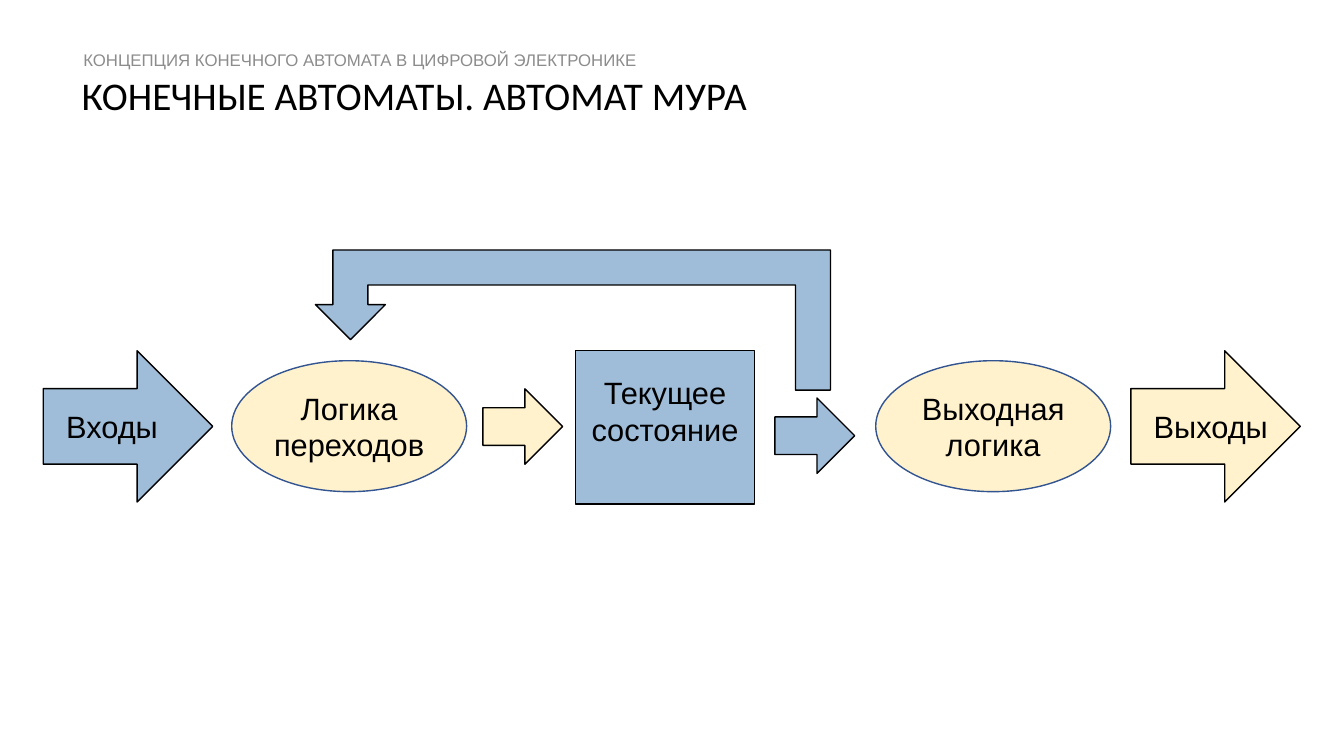
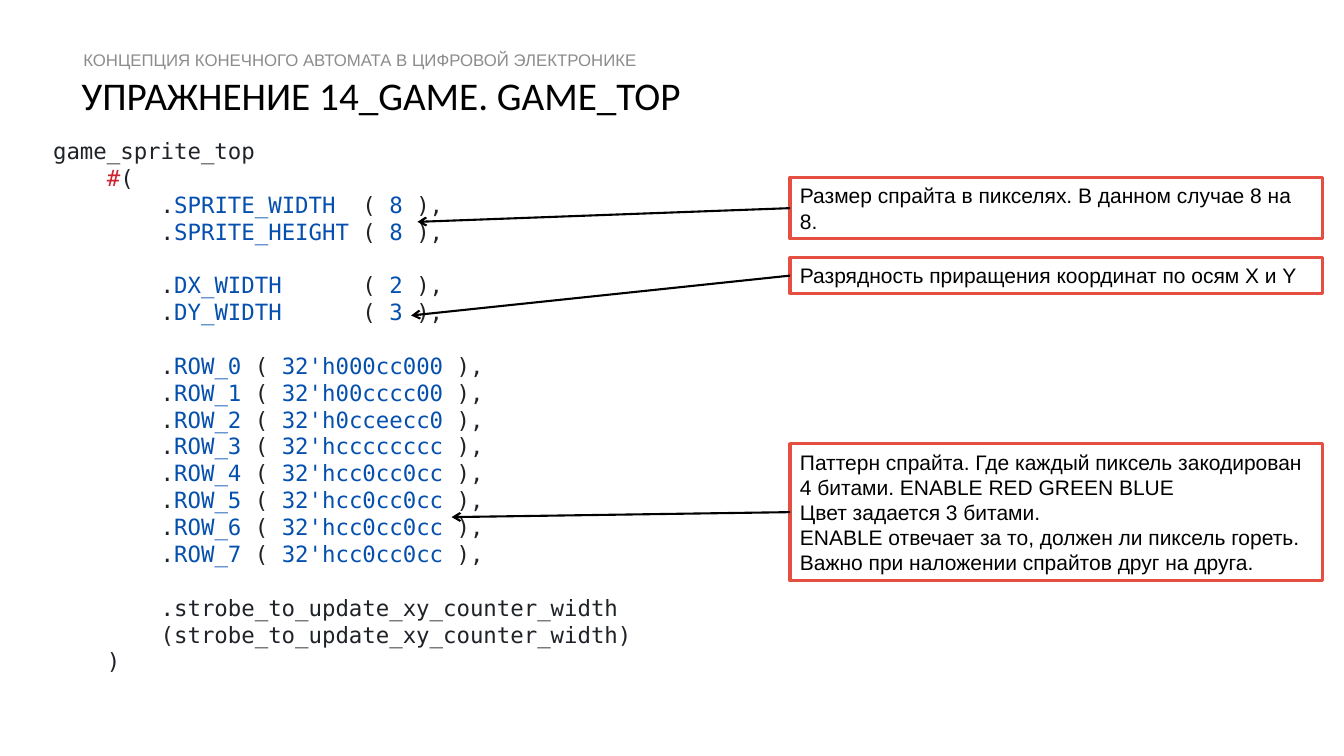
import pptx
import pptx.dml.color
import pptx.enum.shapes
import pptx.enum.text
import pptx.util
from lxml import etree
from pptx.oxml.ns import qn

Cm = pptx.util.Cm
Pt = pptx.util.Pt
SHAPE = pptx.enum.shapes.MSO_SHAPE
ALIGN = pptx.enum.text.PP_ALIGN
ANCHOR = pptx.enum.text.MSO_ANCHOR

COLORS = {
    "black": "000000",
    "topic": "8C8C8C",
    "register": "9FBDD9",
    "logic": "FFF2CC",
    "logic_edge": "325491",
    "note_edge": "E44F41",
    "code": "1F2328",
    "code_name": "0550AE",
    "code_operator": "CF222E",
}
TOPIC = "КОНЦЕПЦИЯ КОНЕЧНОГО АВТОМАТА В ЦИФРОВОЙ ЭЛЕКТРОНИКЕ"
MIDLINE = 10.74
INDENT = " " * 4
CODE_LINE = 19.2


def rgb(name):
    return pptx.dml.color.RGBColor.from_string(COLORS[name])


class Deck:
    """Holds the presentation style and the slide being filled."""

    def __init__(self):
        self.presentation = pptx.Presentation()
        self.presentation.slide_width = Cm(33.87)
        self.presentation.slide_height = Cm(19.05)
        self.slide = None

    def new_slide(self, title):
        self.slide = self.presentation.slides.add_slide(self.presentation.slide_layouts[6])
        heading = self.text_box(2.06, 1.93, 29.21, 1.07, title, 28, font="Calibri", insets=(0, 0, 0, 0))
        heading.paragraphs[0].line_spacing = 0.9
        self.text_box(1.85, 1.14, 27.91, 0.74, TOPIC, 12, color="topic")

    def style_font(self, font, size, color="black", name="Arial"):
        font.size = Pt(size)
        font.name = name
        font.color.rgb = rgb(color)

    def fill_text(self, frame, text, size, color="black", font="Arial", align=ALIGN.LEFT, insets=None):
        """Fill a text frame; insets are left, top, right, bottom in cm."""
        if insets:
            (frame.margin_left, frame.margin_top,
             frame.margin_right, frame.margin_bottom) = map(Cm, insets)
        frame.text = text
        for paragraph in frame.paragraphs:
            paragraph.alignment = align
            for run in paragraph.runs:
                self.style_font(run.font, size, color, font)

    def text_box(self, left, top, width, height, text, size, **style):
        frame = self.slide.shapes.add_textbox(Cm(left), Cm(top), Cm(width), Cm(height)).text_frame
        frame.word_wrap = True
        self.fill_text(frame, text, size, **style)
        return frame

    def shape(self, kind, left, top, width, height, fill=None, edge="black", weight=1):
        shape = self.slide.shapes.add_shape(kind, Cm(left), Cm(top), Cm(width), Cm(height))
        shape.shadow.inherit = False
        if fill:
            shape.fill.solid()
            shape.fill.fore_color.rgb = rgb(fill)
        else:
            shape.fill.background()
        shape.line.color.rgb = rgb(edge)
        shape.line.width = Pt(weight)
        return shape

    def block(self, kind, left, top, width, height, fill, label, edge="black", insets=(0, 0, 0, 0)):
        """A diagram element with a centred label."""
        shape = self.shape(kind, left, top, width, height, fill, edge)
        shape.text_frame.word_wrap = False
        shape.text_frame.vertical_anchor = ANCHOR.MIDDLE
        self.fill_text(shape.text_frame, label, 22, align=ALIGN.CENTER, insets=insets)

    def feedback(self, left, top, width, height):
        """A U-turn arrow pointing back to the left."""
        arrow = self.shape(SHAPE.U_TURN_ARROW, left, top, width, height, "register")
        for index, ratio in enumerate((0.25, 0.25, 0.25, 0, 0.64)):
            arrow.adjustments[index] = ratio
        arrow._element.spPr.find(qn("a:xfrm")).set("flipH", "1")

    def arrow(self, start, end):
        line = self.slide.shapes.add_connector(
            pptx.enum.shapes.MSO_CONNECTOR.STRAIGHT, *map(Cm, start + end))
        line.line.color.rgb = rgb("black")
        line.line.width = Pt(1.5)
        properties = line._element.spPr
        etree.SubElement(properties.find(qn("a:ln")), qn("a:tailEnd"), type="arrow")
        etree.SubElement(properties, qn("a:effectLst"))

    def note(self, top, height, text, target):
        """A framed remark with an arrow to the code it explains."""
        left = 19.91
        frame = self.shape(SHAPE.RECTANGLE, left, top, 13.41, height,
                           edge="note_edge", weight=2.25).text_frame
        frame.word_wrap = True
        frame.vertical_anchor = ANCHOR.MIDDLE
        self.fill_text(frame, text, 15)
        self.arrow((left, top + height / 2), target)

    def code(self, left, top, width, height, groups):
        """Groups of lines, each line a list of (text, color) pieces."""
        frame = self.text_box(left, top, width, height, "", 16)
        paragraph = frame.paragraphs[0]
        for group_index, group in enumerate(groups):
            for line_index, pieces in enumerate(group):
                if group_index or line_index:
                    paragraph = frame.add_paragraph()
                if group_index and not line_index:
                    paragraph.space_before = Pt(CODE_LINE)
                for text, color in pieces:
                    run = paragraph.add_run()
                    run.text = text
                    self.style_font(run.font, 16, color, "DejaVu Sans Mono")


def parameter_lines(values, name_width):
    return [
        [(INDENT * 2 + ".", "code"), (name, "code_name"),
         (" " * (name_width - len(name)) + " ( ", "code"),
         (value, "code_name"), (" ),", "code")]
        for name, value in values
    ]


def moore_slide(deck):
    deck.new_slide("КОНЕЧНЫЕ АВТОМАТЫ. АВТОМАТ МУРА")
    for left, fill, label, inset in ((1.09, "register", "Входы", 0.15),
                                     (28.5, "logic", "Выходы", 0.71)):
        deck.block(SHAPE.RIGHT_ARROW, left, 8.84, 4.27, 3.81, fill, label, insets=(inset, 0, 0, 0))
    for left, top, fill in ((12.17, 9.8, "logic"), (19.53, 10.03, "register")):
        deck.shape(SHAPE.RIGHT_ARROW, left, top, 2.01, 1.9, fill)
    deck.block(SHAPE.RECTANGLE, 14.5, 8.84, 4.52, 3.86, "register",
               "Текущее\nсостояние", insets=(0, 0, 0, 0.86))
    deck.feedback(7.95, 6.3, 12.98, 3.53)
    oval_height = 3.3
    for left, label in ((22.07, "Выходная\nлогика"), (5.84, "Логика\nпереходов")):
        deck.block(SHAPE.OVAL, left, MIDLINE - oval_height / 2, 5.92, oval_height,
                   "logic", label, edge="logic_edge")


def game_slide(deck):
    deck.new_slide("УПРАЖНЕНИЕ 14_GAME. GAME_TOP")
    sprite_size = [("SPRITE_WIDTH", "8"), ("SPRITE_HEIGHT", "8")]
    step_width = [("DX_WIDTH", "2"), ("DY_WIDTH", "3")]
    patterns = ["000cc000", "00cccc00", "0cceecc0", "cccccccc"] + ["cc0cc0cc"] * 4
    rows = [(f"ROW_{index}", f"32'h{pattern}") for index, pattern in enumerate(patterns)]
    name_width = len("SPRITE_HEIGHT")
    opening = [[("game_sprite_top", "code")],
               [(INDENT, "code"), ("#", "code_operator"), ("(", "code")]]
    closing = [[(INDENT * 2 + ".strobe_to_update_xy_counter_width", "code")],
               [(INDENT * 2 + "(strobe_to_update_xy_counter_width)", "code")],
               [(INDENT + ")", "code")]]
    deck.code(1.09, 3.33, 16.94, 14.27, [
        opening + parameter_lines(sprite_size, name_width),
        parameter_lines(step_width, name_width),
        parameter_lines(rows, len("ROW_0")),
        closing,
    ])
    deck.note(4.47, 1.55, "Размер спрайта в пикселях. В данном случае 8 на 8.", (10.52, 5.59))
    deck.note(6.5, 0.89, "Разрядность приращения координат по осям X и Y", (10.36, 7.95))
    deck.note(11.18, 3.45,
              "Паттерн спрайта. Где каждый пиксель закодирован 4 битами. ENABLE RED GREEN BLUE\n"
              "Цвет задается 3 битами.\n"
              "ENABLE отвечает за то, должен ли пиксель гореть.\n"
              "Важно при наложении спрайтов друг на друга.", (11.38, 13.03))


def main():
    deck = Deck()
    moore_slide(deck)
    game_slide(deck)
    deck.presentation.save("out.pptx")


if __name__ == "__main__":
    main()
